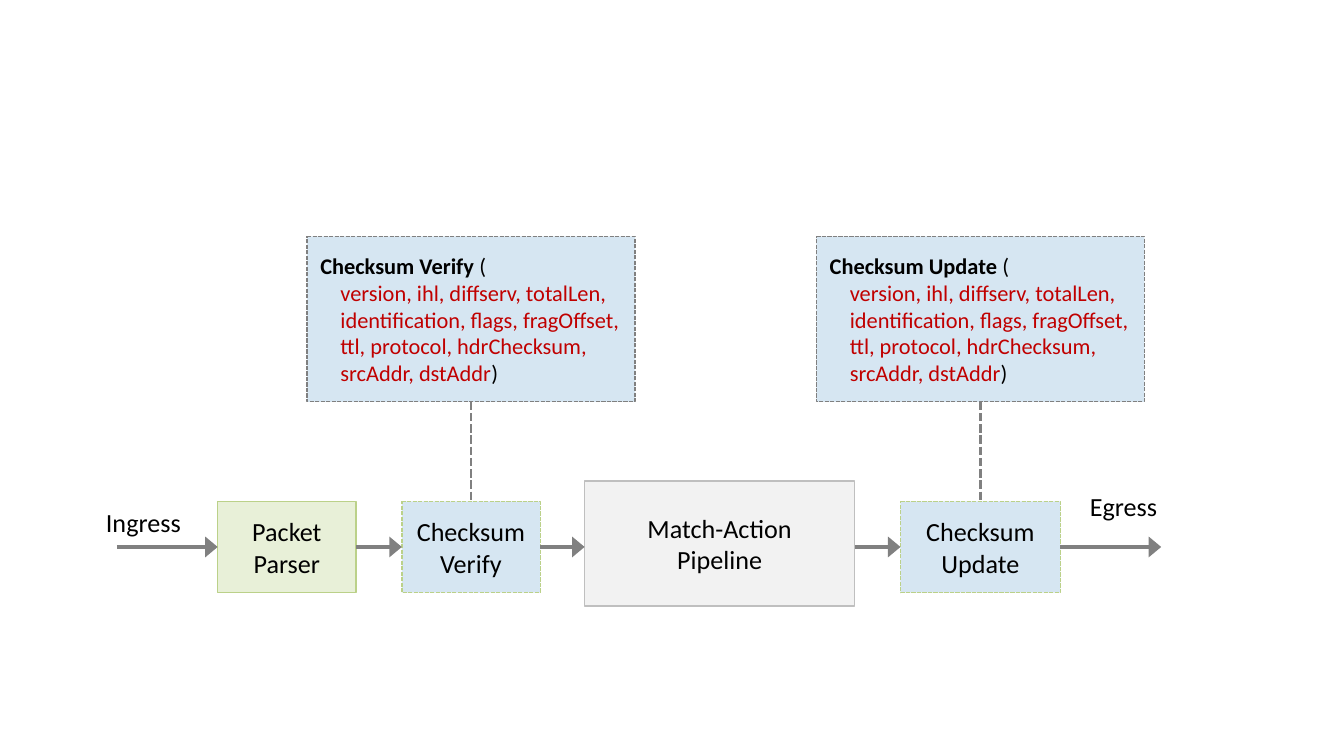
from lxml.etree import SubElement
from pptx import Presentation
from pptx.dml.color import RGBColor
from pptx.enum.dml import MSO_LINE
from pptx.enum.shapes import MSO_CONNECTOR, MSO_SHAPE
from pptx.enum.text import MSO_ANCHOR, MSO_AUTO_SIZE, PP_ALIGN
from pptx.oxml.ns import qn
from pptx.util import Inches, Pt

BLACK = RGBColor(0x00, 0x00, 0x00)
RED = RGBColor(0xC0, 0x00, 0x00)
GRAY = RGBColor(0x80, 0x80, 0x80)
SILVER = RGBColor(0xBF, 0xBF, 0xBF)
PALE_GRAY = RGBColor(0xF2, 0xF2, 0xF2)
GREEN = RGBColor(0xBB, 0xD1, 0x89)
PALE_GREEN = RGBColor(0xE8, 0xF0, 0xD8)
PALE_BLUE = RGBColor(0xD6, 0xE6, 0xF2)

FONT = "Calibri"
STAGE_SIZE, CALLOUT_SIZE = 14, 12
AXIS = 4.07  # height of the arrows
CALLOUT_TOP, CALLOUT_WIDTH, CALLOUT_HEIGHT = 1.76, 2.44, 1.23
FIELD_INDENT = 0.15
FLOW_LENGTH = 0.75  # arrows into and out of the pipeline
TOP, LEFT, BOTTOM, RIGHT = range(4)  # connection sites of a box

# lines of text, left, top, width, height, fill, outline, dashed, callout title
STAGES = [
    (["Packet", "Parser"], 1.62, 3.73, 1.03, 0.68, PALE_GREEN, GREEN, False, None),
    (["Checksum", "Verify"], 2.99, 3.73, 1.03, 0.68, PALE_BLUE, GREEN, True,
     "Checksum Verify "),
    (["Match-Action", "Pipeline"], 4.35, 3.58, 2.01, 0.93, PALE_GRAY, SILVER, False, None),
    (["Checksum Update"], 6.7, 3.73, 1.19, 0.68, PALE_BLUE, GREEN, True,
     "Checksum Update "),
]
FIELDS = [
    "version, ihl, diffserv, totalLen,",
    "identification, flags, fragOffset,",
    "ttl, protocol, hdrChecksum,",
    "srcAddr, dstAddr",
]
# text, left, top, width
LABELS = [("Ingress", 0.69, 3.72, 0.77), ("Egress", 8.01, 3.6, 0.71)]
LABEL_HEIGHT = 0.34


def write(frame, lines, size, align):
    """Fill a frame; each line is a list of (text, colour, bold) runs."""
    for index, spans in enumerate(lines):
        para = frame.paragraphs[0] if index == 0 else frame.add_paragraph()
        para.alignment = align
        for text, color, bold in spans:
            span = para.add_run()
            span.text = text
            span.font.name, span.font.size, span.font.bold = FONT, Pt(size), bold
            span.font.color.rgb = color


def add_box(page, left, top, width, height, fill, outline, dashed):
    box = page.shapes.add_shape(MSO_SHAPE.ROUNDED_RECTANGLE, Inches(left), Inches(top),
                                Inches(width), Inches(height))
    box.adjustments[0] = 0
    box.shadow.inherit = False
    box.fill.solid()
    box.fill.fore_color.rgb = fill
    box.line.color.rgb = outline
    box.line.width = Pt(0.75)
    if dashed:
        box.line.dash_style = MSO_LINE.SQUARE_DOT
    box.text_frame.word_wrap = True
    box.text_frame.vertical_anchor = MSO_ANCHOR.MIDDLE
    return box


def add_line(page, start, end, width):
    line = page.shapes.add_connector(MSO_CONNECTOR.STRAIGHT, *start, *end)
    line.line.color.rgb = GRAY
    line.line.width = Pt(width)
    SubElement(line._element.spPr, qn("a:effectLst"))
    return line


def add_arrow(page, start_x, end_x, before=None, after=None):
    """Draw a level arrow, joined to the boxes whose side is centred on the axis."""
    arrow = add_line(page, (start_x, Inches(AXIS)), (end_x, Inches(AXIS)), 2.25)
    if before and is_on_axis(before):
        arrow.begin_connect(before, RIGHT)
    if after and is_on_axis(after):
        arrow.end_connect(after, LEFT)
    outline = arrow._element.spPr.find(qn("a:ln"))
    SubElement(outline, qn("a:tailEnd"), type="triangle", w="lg", len="med")


def is_on_axis(box):
    return abs(box.top + box.height / 2 - Inches(AXIS)) < Inches(0.01)


def add_callout(page, stage, title):
    center = stage.left + stage.width // 2
    box = add_box(page, center / Inches(1) - CALLOUT_WIDTH / 2, CALLOUT_TOP, CALLOUT_WIDTH,
                  CALLOUT_HEIGHT, PALE_BLUE, GREEN, True)
    box.line.color.rgb = GRAY
    lines = [[(title, BLACK, True), ("(", BLACK, False)]]
    lines += [[(field, RED, False)] for field in FIELDS]
    lines[-1].append((")", BLACK, False))
    write(box.text_frame, lines, CALLOUT_SIZE, PP_ALIGN.LEFT)
    for para in box.text_frame.paragraphs[1:]:
        para._p.get_or_add_pPr().set("marL", str(Inches(FIELD_INDENT)))
    leader = add_line(page, (center, box.top + box.height), (center, stage.top), 1.5)
    leader.line.dash_style = MSO_LINE.SQUARE_DOT
    leader.begin_connect(box, BOTTOM)
    leader.end_connect(stage, TOP)


def main():
    deck = Presentation()
    deck.slide_width = Inches(10)
    deck.slide_height = deck.slide_width * 9 // 16
    page = deck.slides.add_slide(deck.slide_layouts[6])

    boxes = []
    for words, left, top, width, height, fill, outline, dashed, title in STAGES:
        box = add_box(page, left, top, width, height, fill, outline, dashed)
        write(box.text_frame, [[(word, BLACK, False)] for word in words],
              STAGE_SIZE, PP_ALIGN.CENTER)
        boxes.append(box)
        if title:
            add_callout(page, box, title)

    first, last = boxes[0], boxes[-1]
    flow, exit_x = Inches(FLOW_LENGTH), last.left + last.width
    add_arrow(page, first.left - flow, first.left, after=first)
    for before, after in zip(boxes, boxes[1:]):
        add_arrow(page, before.left + before.width, after.left, before, after)
    add_arrow(page, exit_x, exit_x + flow, before=last)

    for text, left, top, width in LABELS:
        label = page.shapes.add_textbox(Inches(left), Inches(top), Inches(width),
                                        Inches(LABEL_HEIGHT))
        label.text_frame.word_wrap = False
        label.text_frame.auto_size = MSO_AUTO_SIZE.SHAPE_TO_FIT_TEXT
        write(label.text_frame, [[(text, BLACK, False)]], STAGE_SIZE, PP_ALIGN.LEFT)

    deck.save("out.pptx")


if __name__ == "__main__":
    main()
